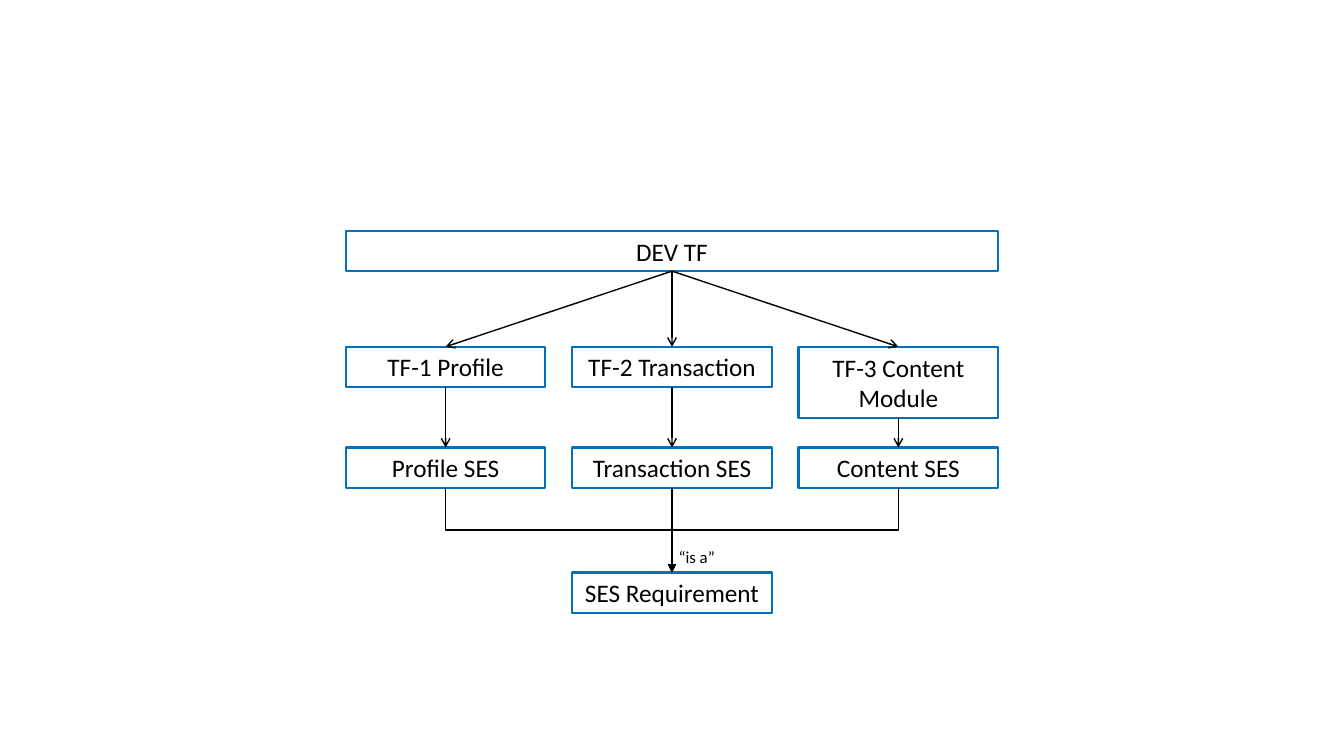
from dataclasses import dataclass
from lxml import etree
from pptx import Presentation
from pptx.dml.color import RGBColor
from pptx.enum.shapes import MSO_CONNECTOR, MSO_SHAPE
from pptx.enum.text import MSO_ANCHOR, MSO_AUTO_SIZE, PP_ALIGN
from pptx.oxml.ns import qn
from pptx.util import Inches, Pt

RECT = MSO_SHAPE.RECTANGLE
STRAIGHT, ELBOW = MSO_CONNECTOR.STRAIGHT, MSO_CONNECTOR.ELBOW
CENTER, MIDDLE = PP_ALIGN.CENTER, MSO_ANCHOR.MIDDLE
GROW = MSO_AUTO_SIZE.SHAPE_TO_FIT_TEXT
TOP, BOTTOM = 0, 2
QUARTER_TURN_BACK = "16200000"

ROOT = "DEV TF"
BRANCHES = [
    ("TF-1 Profile", 0.4, "Profile SES"),
    ("TF-2 Transaction", 0.4, "Transaction SES"),
    ("TF-3 Content Module", 0.71, "Content SES"),
]
REQUIREMENT = "SES Requirement"
RELATION = "“is a”"

LEFT, TOTAL_W, BOX_W, BOX_H = 3.43, 6.47, 1.98, 0.4
STEP = (TOTAL_W - BOX_W) / (len(BRANCHES) - 1)
ROOT_Y, VOLUME_Y, SES_Y, REQUIREMENT_Y = 2.29, 3.44, 4.44, 5.68


@dataclass
class Theme:
    font: str = "Calibri"
    text: RGBColor = RGBColor(0, 0, 0)
    border: RGBColor = RGBColor(0x00, 0x70, 0xC0)
    box_size: Pt = Pt(18)
    label_size: Pt = Pt(12)
    border_width: Pt = Pt(1.5)
    arrow_width: Pt = Pt(1)


theme = Theme()


def write(sp, text, size):
    tf = sp.text_frame
    tf.word_wrap = True
    tf.auto_size = GROW
    tf.vertical_anchor = MIDDLE
    p = tf.paragraphs[0]
    p.alignment = CENTER
    r = p.add_run()
    r.text = text
    r.font.name = theme.font
    r.font.size = size
    r.font.color.rgb = theme.text


def add_box(s, text, x, y, w=BOX_W, h=BOX_H):
    sp = s.shapes.add_shape(RECT, Inches(x), Inches(y), Inches(w), Inches(h))
    sp.shadow.inherit = False
    sp.fill.background()
    sp.line.color.rgb = theme.border
    sp.line.width = theme.border_width
    write(sp, text, theme.box_size)
    return sp


def connect(s, kind, begin, begin_site, end, end_site, arrow_end, arrow):
    c = s.shapes.add_connector(kind, 0, 0, 0, 0)
    c.begin_connect(begin, begin_site)
    c.end_connect(end, end_site)
    c.line.color.rgb = theme.text
    c.line.width = theme.arrow_width
    etree.SubElement(c.line._get_or_add_ln(), qn(f"a:{arrow_end}"), type=arrow)
    etree.SubElement(c._element.spPr, qn("a:effectLst"))
    return c


def turn_upright(c):
    dx, rise = c.end_x - c.begin_x, c.begin_y - c.end_y
    cx, cy = (c.begin_x + c.end_x) // 2, (c.begin_y + c.end_y) // 2
    c.begin_x, c.begin_y = cx - rise // 2, cy - dx // 2
    c.end_x, c.end_y = cx + rise // 2, cy + dx // 2
    c._element.spPr.find(qn("a:xfrm")).set("rot", QUARTER_TURN_BACK)


def main():
    prs = Presentation()
    prs.slide_width, prs.slide_height = Inches(13.33), Inches(7.5)
    s = prs.slides.add_slide(prs.slide_layouts[6])

    root = add_box(s, ROOT, LEFT, ROOT_Y, TOTAL_W)
    requirement = add_box(s, REQUIREMENT, LEFT + STEP, REQUIREMENT_Y)
    for i, (volume_name, volume_h, ses_name) in enumerate(BRANCHES):
        x = LEFT + i * STEP
        volume = add_box(s, volume_name, x, VOLUME_Y, h=volume_h)
        ses = add_box(s, ses_name, x, SES_Y)
        connect(s, STRAIGHT, root, BOTTOM, volume, TOP, "tailEnd", "arrow")
        connect(s, STRAIGHT, volume, BOTTOM, ses, TOP, "tailEnd", "arrow")
        is_middle = i == len(BRANCHES) // 2
        kind = STRAIGHT if is_middle else ELBOW
        c = connect(s, kind, requirement, TOP, ses, BOTTOM, "headEnd", "triangle")
        if not is_middle:
            turn_upright(c)

    label = s.shapes.add_textbox(Inches(6.61), Inches(5.37), Inches(0.6), Inches(0.3))
    write(label, RELATION, theme.label_size)
    prs.save("out.pptx")


if __name__ == "__main__":
    main()
